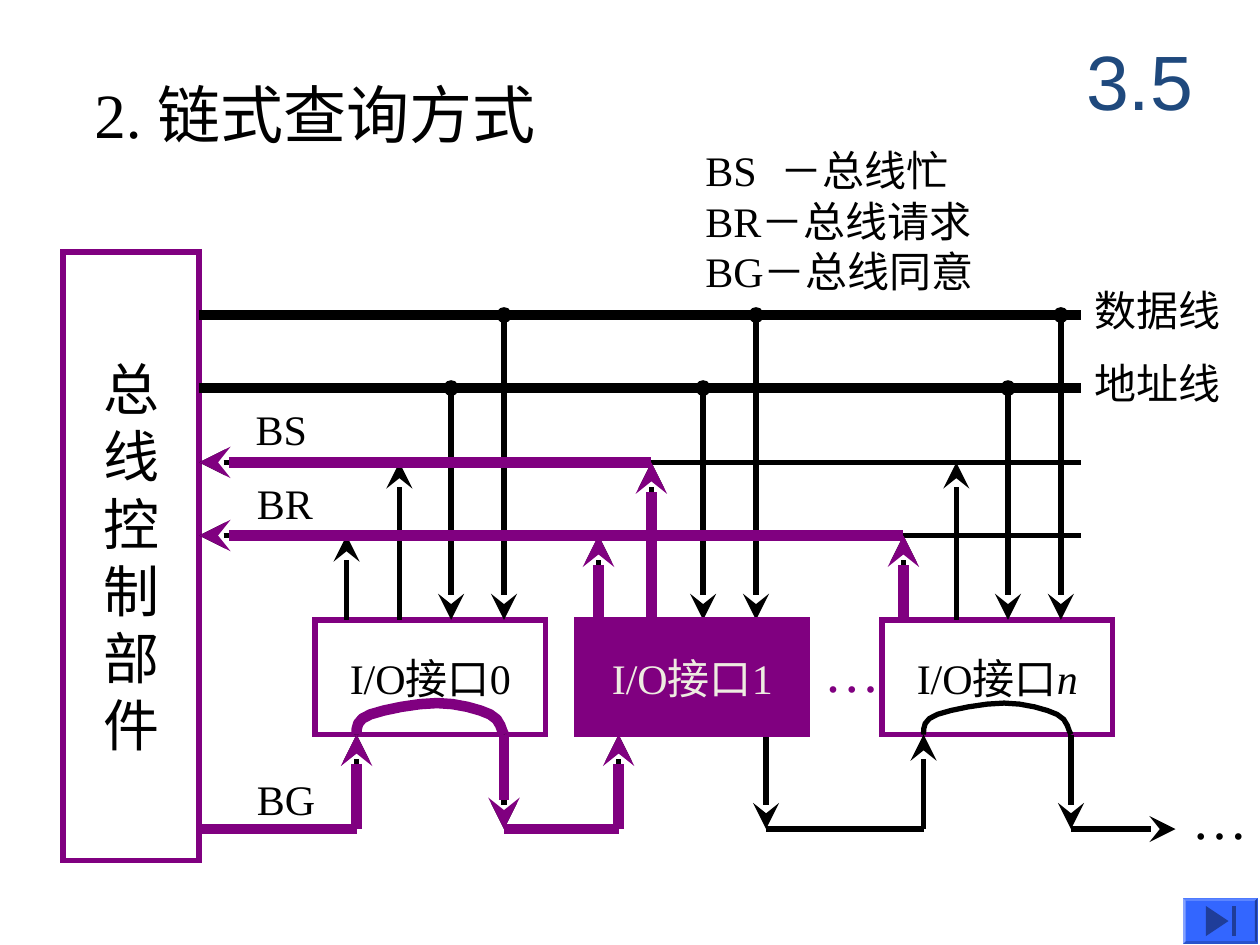
from dataclasses import dataclass

from lxml.etree import SubElement
from pptx import Presentation
from pptx.dml.color import RGBColor
from pptx.enum.shapes import MSO_CONNECTOR, MSO_SHAPE
from pptx.enum.text import MSO_ANCHOR, MSO_AUTO_SIZE, PP_ALIGN
from pptx.oxml.ns import qn
from pptx.util import Inches, Pt

COLORS = {
    "black": "000000", "purple": "800080", "cream": "EEECE1", "navy": "1F497D",
    "button": "3366FF", "top": "5C85FF", "left": "85A3FF",
    "right": "1F3D99", "bottom": "2952CC", "icon": "1F3D99",
}
CTRL_RIGHT = 1.58
BUS_END = 8.58
DATA_Y, ADDR_Y, BS_Y, BR_Y = 2.5, 3.08, 3.67, 4.25
UNIT_TOP, UNIT_BOTTOM, GRANT_Y = 4.92, 5.83, 6.58
UNIT_W = 1.83
BR_DX, BS_DX, ADDR_DX, DATA_DX = 0.25, 0.67, 1.08, 1.5
GRANT_IN, GRANT_OUT = 0.33, 1.5
THIN, THICK = 3, 6


@dataclass
class Unit:
    x: float
    signal_x: float
    label: str
    tail: str = ""
    active: bool = False


@dataclass
class Label:
    text: str
    x: float
    y: float
    w: float
    h: float = 0.5
    size: int = 24
    color: str = "black"


UNITS = [Unit(2.5, 2.5, "I/O接口0"), Unit(4.58, 4.5, "I/O接口1", active=True),
         Unit(7, 6.92, "I/O接口", "n")]
LABELS = [
    Label("BS", 1.93, 3.15, 0.62),
    Label("BR", 1.94, 3.74, 0.66),
    Label("BG", 1.94, 6.09, 0.67),
    Label("数据线", 8.59, 2.21, 1.2),
    Label("地址线", 8.59, 2.79, 1.2),
    Label("…", 6.44, 5, 0.64, 0.64, 32, "purple"),
    Label("…", 9.36, 6.17, 0.64, 0.64, 32),
]

prs = Presentation()
prs.slide_width, prs.slide_height = Inches(10), Inches(7.5)
s = prs.slides.add_slide(prs.slide_layouts[6])


def rgb(name: str) -> RGBColor:
    return RGBColor.from_string(COLORS[name])


def write_text(sp, text: str, *, size: int = 24, color: str = "black",
               font: str = "Times New Roman", align=PP_ALIGN.LEFT,
               anchor=MSO_ANCHOR.TOP, wrap: bool = False, grow: bool = False,
               italic_tail: str = "", tab: float = 0) -> None:
    tf = sp.text_frame
    tf.word_wrap = wrap
    tf.vertical_anchor = anchor
    if grow:
        tf.auto_size = MSO_AUTO_SIZE.SHAPE_TO_FIT_TEXT
    for i, line in enumerate(text.split("\n")):
        p = tf.add_paragraph() if i else tf.paragraphs[0]
        p.alignment = align
        if tab:
            tabs = SubElement(p._p.get_or_add_pPr(), qn("a:tabLst"))
            SubElement(tabs, qn("a:tab"), pos=str(Inches(tab)), algn="l")
        for part, italic in ((line, False), (italic_tail, True)):
            if part:
                r = p.add_run()
                r.text = part
                r.font.name, r.font.size = font, Pt(size)
                r.font.color.rgb = rgb(color)
                if italic:
                    r.font.italic = True


def add_text(text: str, x: float, y: float, w: float, h: float, **fmt) -> None:
    sp = s.shapes.add_textbox(Inches(x), Inches(y), Inches(w), Inches(h))
    write_text(sp, text, **fmt)


def add_box(text: str, x: float, y: float, w: float, h: float,
            fill: str = "", **fmt) -> None:
    sp = s.shapes.add_shape(MSO_SHAPE.RECTANGLE, Inches(x), Inches(y),
                            Inches(w), Inches(h))
    sp.shadow.inherit = False
    if fill:
        sp.fill.solid()
        sp.fill.fore_color.rgb = rgb(fill)
    else:
        sp.fill.background()
    sp.line.color.rgb, sp.line.width = rgb("purple"), Pt(THIN)
    SubElement(sp._element.spPr.find(qn("a:ln")), qn("a:miter"), lim="800000")
    write_text(sp, text, align=PP_ALIGN.CENTER, anchor=MSO_ANCHOR.MIDDLE, **fmt)


def add_line(x1: float, y1: float, x2: float, y2: float, color: str = "black",
             width: float = THIN, head: str = "", tail: str = "") -> None:
    c = s.shapes.add_connector(MSO_CONNECTOR.STRAIGHT, Inches(x1), Inches(y1),
                               Inches(x2), Inches(y2))
    c.line.color.rgb, c.line.width = rgb(color), Pt(width)
    spPr = c._element.spPr
    ln = spPr.find(qn("a:ln"))
    for tag, kind in (("a:headEnd", head), ("a:tailEnd", tail)):
        if kind:
            size = "lg" if kind == "stealth" and width == THIN else "med"
            SubElement(ln, qn(tag), type=kind, w=size, len=size)
    SubElement(spPr, qn("a:effectLst"))


def add_outline(points: list[tuple[float, float]], close: bool):
    pts = [(Inches(x), Inches(y)) for x, y in points]
    fb = s.shapes.build_freeform(*pts[0], scale=1.0)
    fb.add_line_segments(pts[1:], close=close)
    sp = fb.convert_to_shape()
    sp.shadow.inherit = False
    return sp


def add_arc(x: float, color: str = "black", width: float = THIN) -> None:
    knots = [(0, 0.25), (0, 0.19), (0, 0.13), (0.11, 0.09), (0.22, 0.05),
             (0.48, 0), (0.64, 0), (0.8, 0), (0.98, 0.05), (1.06, 0.09),
             (1.15, 0.13), (1.15, 0.23), (1.17, 0.25)]
    steps = 4
    points = [knots[0]]
    for k in range(0, len(knots) - 1, 3):
        for t in (n / steps for n in range(1, steps + 1)):
            weights = ((1 - t) ** 3, 3 * t * (1 - t) ** 2, 3 * t * t * (1 - t), t ** 3)
            points.append(tuple(sum(w * q[axis] for w, q in zip(weights, knots[k:k + 4]))
                                for axis in (0, 1)))
    sp = add_outline([(x + dx, UNIT_BOTTOM - 0.25 + dy) for dx, dy in points], False)
    sp.fill.background()
    sp.line.color.rgb, sp.line.width = rgb(color), Pt(width)


def add_hop(x1: float, x2: float, color: str = "black", width: float = THIN) -> None:
    add_line(x1, GRANT_Y, x2, GRANT_Y, color, width)
    add_line(x2, GRANT_Y, x2, UNIT_BOTTOM, color, width, tail="stealth")


def add_drop(x: float, color: str = "black", width: float = THIN) -> None:
    add_line(x, UNIT_BOTTOM, x, GRANT_Y, color, width, tail="stealth")


def add_riser(x: float, y: float, color: str = "black", width: float = THIN) -> None:
    add_line(x, UNIT_TOP, x, y, color, width, tail="stealth")


def add_unit(u: Unit) -> None:
    add_box(u.label, u.x, UNIT_TOP, UNIT_W, UNIT_BOTTOM - UNIT_TOP,
            fill="purple" if u.active else "",
            color="cream" if u.active else "black", italic_tail=u.tail)


def add_button(x1: float, y1: float, x2: float, y2: float) -> None:
    d = 0.02
    outer = [(x1, y1), (x2, y1), (x2, y2), (x1, y2)]
    inner = [(x1 + d, y1 + d), (x2 - d, y1 + d), (x2 - d, y2 - d), (x1 + d, y2 - d)]
    faces = [("button", outer)]
    for i, side in enumerate(("top", "right", "bottom", "left")):
        j = (i + 1) % 4
        faces.append((side, [outer[i], outer[j], inner[j], inner[i]]))
    faces += [("icon", [(9.75, 7.31), (9.57, 7.43), (9.57, 7.19)]),
              ("icon", [(9.78, 7.19), (9.78, 7.43), (9.81, 7.43), (9.81, 7.19)])]
    for color, points in faces:
        sp = add_outline(points, True)
        sp.fill.solid()
        sp.fill.fore_color.rgb = rgb(color)
        sp.line.fill.background()


def main() -> None:
    add_text("2. 链式查询方式", 0.65, 0.55, 4.82, 0.7, size=36, wrap=True)
    add_text("3.5", 8.42, 0.17, 1.25, 0.92, size=44, color="navy", font="Arial",
             align=PP_ALIGN.CENTER, anchor=MSO_ANCHOR.MIDDLE, wrap=True)
    add_text("BS\t－总线忙\nBR－总线请求\nBG－总线同意", 5.5, 1.1, 2.97, 1.3,
             wrap=True, tab=0.6)
    add_box("总\n线\n控\n制\n部\n件", 0.5, 2, 1.08, 4.83, size=32)

    for y, width, head in ((DATA_Y, THICK, ""), (ADDR_Y, THICK, ""),
                           (BS_Y, THIN, "stealth"), (BR_Y, THIN, "stealth")):
        add_line(CTRL_RIGHT, y, BUS_END, y, width=width, head=head)

    grant_from = CTRL_RIGHT
    for u in UNITS:
        if not u.active:
            add_unit(u)
            add_arc(u.x + GRANT_IN)
        for dx, y in ((BR_DX, BR_Y), (BS_DX, BS_Y)):
            add_riser(u.signal_x + dx, y)
        for dx, y in ((ADDR_DX, ADDR_Y), (DATA_DX, DATA_Y)):
            x = u.signal_x + dx
            add_line(x, y, x, UNIT_TOP, head="oval", tail="stealth")
        add_hop(grant_from, u.x + GRANT_IN)
        grant_from = u.x + GRANT_OUT
        add_drop(grant_from)
    add_line(grant_from, GRANT_Y, 9.33, GRANT_Y, tail="stealth")

    for lb in LABELS:
        add_text(lb.text, lb.x, lb.y, lb.w, lb.h, size=lb.size, color=lb.color, grow=True)

    first, active, last = UNITS
    mark = ("purple", THICK)
    bs_x = active.signal_x + BS_DX
    br_xs = [u.signal_x + BR_DX for u in (active, last)]
    add_line(bs_x, BS_Y, CTRL_RIGHT, BS_Y, *mark, tail="stealth")
    add_line(br_xs[-1], BR_Y, CTRL_RIGHT, BR_Y, *mark, tail="stealth")
    add_riser(bs_x, BS_Y, *mark)
    for x in br_xs:
        add_riser(x, BR_Y, *mark)
    add_hop(CTRL_RIGHT, first.x + GRANT_IN, *mark)
    add_arc(first.x + GRANT_IN, *mark)
    add_drop(first.x + GRANT_OUT, *mark)
    add_hop(first.x + GRANT_OUT, active.x + GRANT_IN, *mark)
    add_unit(active)
    add_button(9.39, 7.13, 9.98, 7.49)
    prs.save("out.pptx")


if __name__ == "__main__":
    main()
